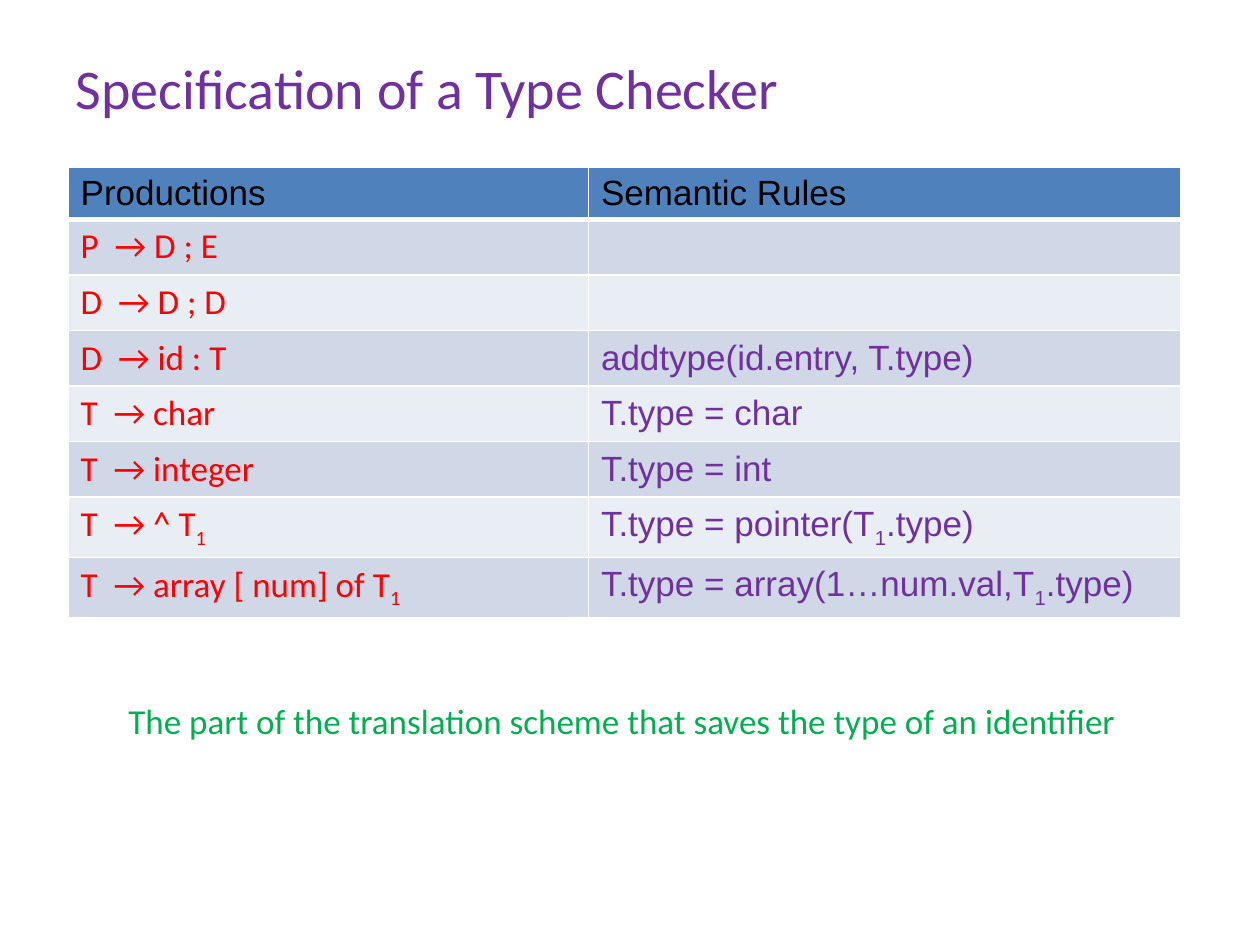
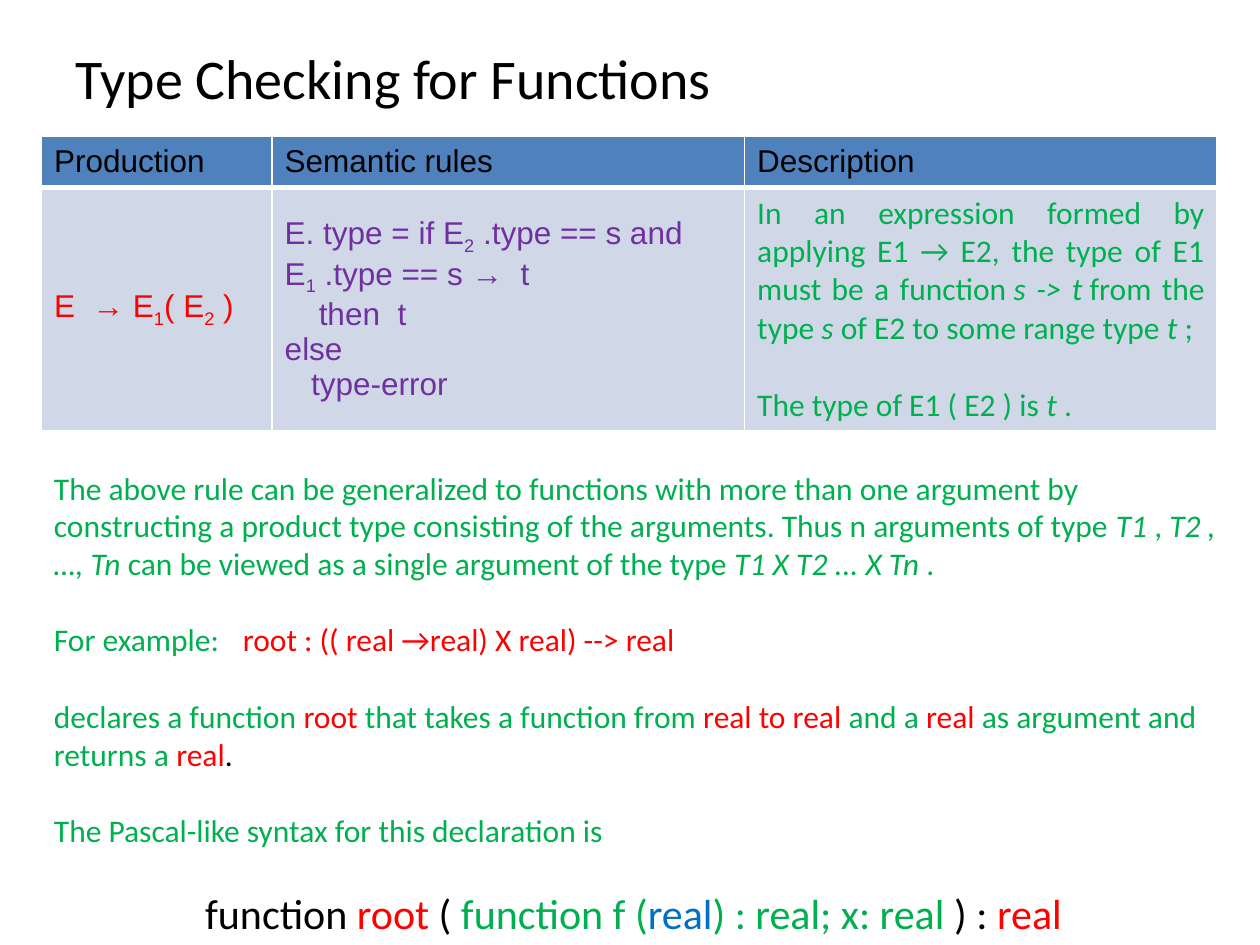
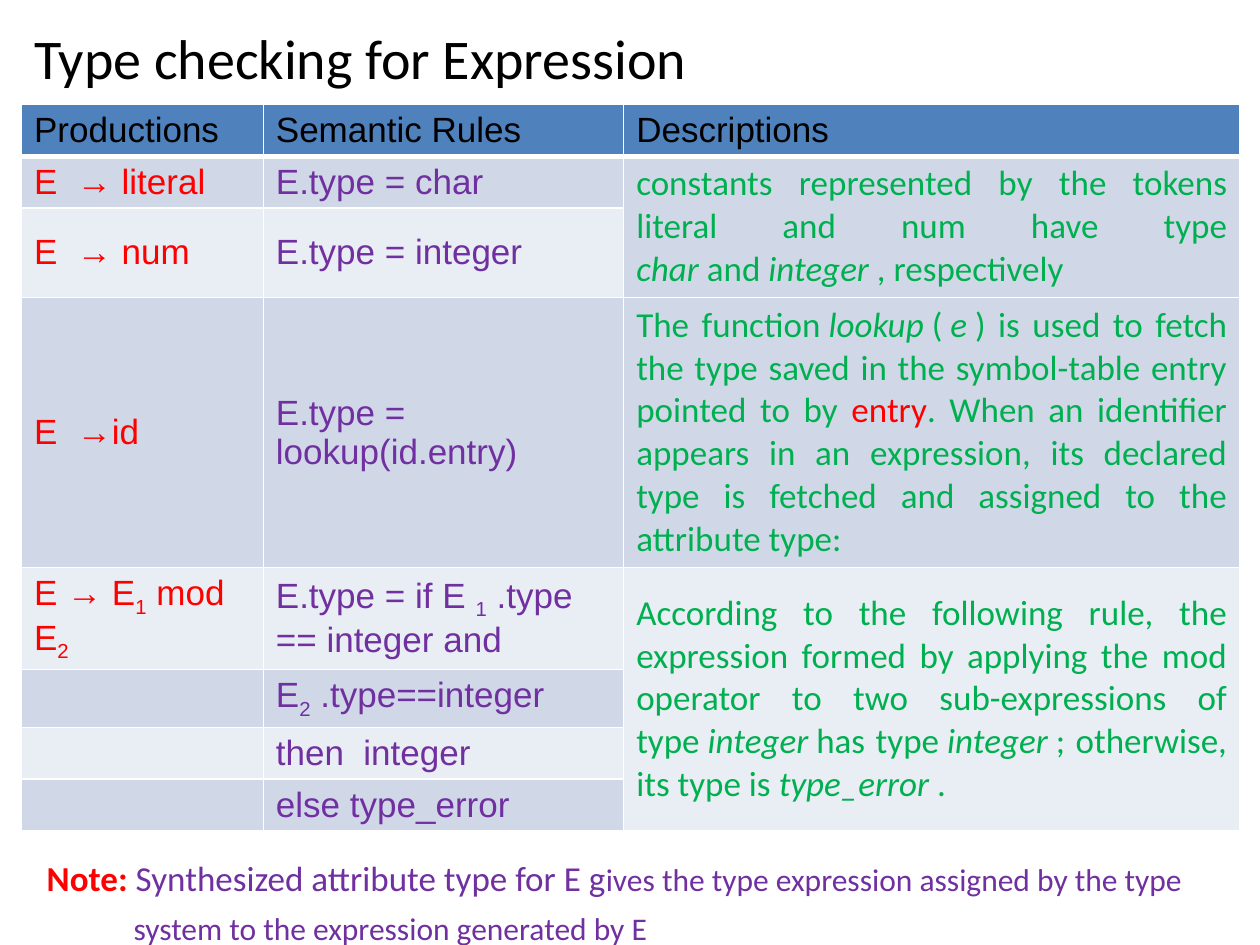
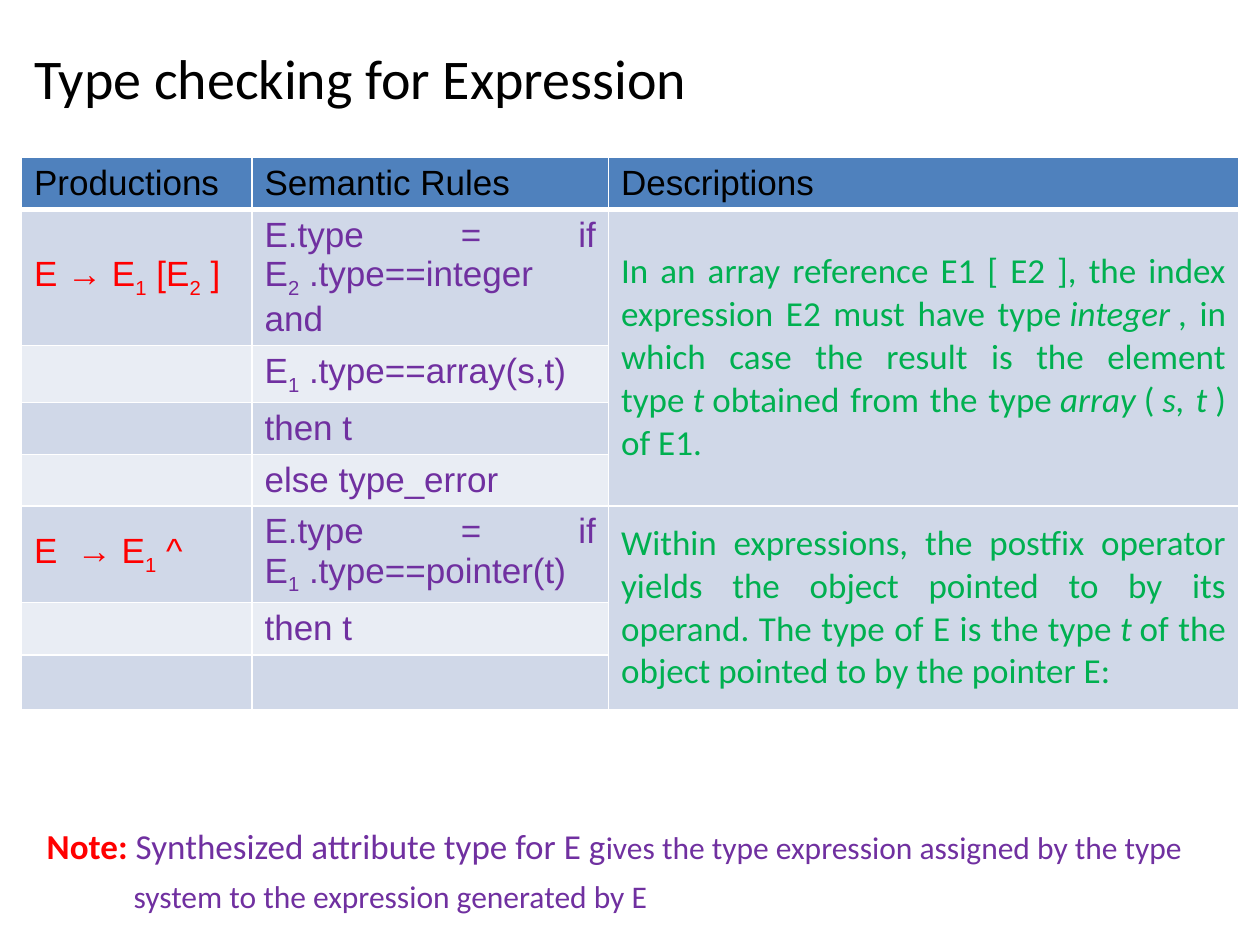
from lxml import etree
from pptx import Presentation
from pptx.dml import color
from pptx.enum import text
from pptx.oxml import ns
from pptx.util import Inches, Pt

# Shared palette, fonts and span styles
BLACK, RED, GREEN, PURPLE, BLUE = "000000", "FF0000", "00B050", "7030A0", "0070C0"
HEADER, BANDS, WHITE = "4F81BD", ("E9EDF4", "D0D8E8"), "FFFFFF"
LEFT, JUSTIFY = text.PP_ALIGN.LEFT, text.PP_ALIGN.JUSTIFY
ITALIC, SUB = {"italic": True}, {"sub": True}
IN_RED, IN_GREEN, IN_BLACK = {"color": RED}, {"color": GREEN}, {"color": BLACK}
SUB1, SUB2 = ("1", SUB), ("2", SUB)
GAP = 22  # one 18 pt line, in points


def paint(target, code):
    """Give a font colour or a solid fill the colour of a hex string."""
    target.rgb = color.RGBColor.from_string(code)


def write(frame, paras, align=LEFT, indents=(), gaps=(), tab=None, **base):
    """Fill a frame; a paragraph is a list of strings and (string, style) pairs."""
    frame.word_wrap = True
    for n, spans in enumerate(paras):
        para = frame.paragraphs[0] if n == 0 else frame.add_paragraph()
        para.alignment = align
        if n < len(gaps) and gaps[n] is not None:
            para.space_before = Pt(gaps[n])
        props = para._p.get_or_add_pPr()
        props.set("marL", str(Inches(indents[n] if n < len(indents) else 0)))
        props.set("indent", "0")
        etree.SubElement(props, ns.qn("a:buNone"))
        if tab:
            stops = etree.SubElement(props, ns.qn("a:tabLst"))
            etree.SubElement(stops, ns.qn("a:tab"), pos=str(Inches(tab)), algn="l")
        for span in [spans] if isinstance(spans, str) else spans:
            words, extra = (span, {}) if isinstance(span, str) else span
            look = {"size": 20, "font": "Calibri", "color": BLACK, **base, **extra}
            run = para.add_run()
            run.text = words
            run.font.name, run.font.size = look["font"], Pt(look["size"])
            run.font.bold = look.get("bold", False)
            run.font.italic = look.get("italic", False)
            paint(run.font.color, look["color"])
            if look.get("sub"):
                run.font._element.set("baseline", "-25000")


# Table contents: "" is an empty cell, None continues the cell above
declarations = [
    ["Productions", "Semantic Rules"],
    ["P\u00a0\u00a0→ D ; E ", ""],
    ["D\u00a0\u00a0→ D ; D ", ""],
    ["D\u00a0\u00a0→ id : T ", "addtype(id.entry, T.type) "],
    ["T\u00a0\u00a0→ char ", "T.type = char "],
    ["T\u00a0\u00a0→ integer ", "T.type = int "],
    [["T\u00a0\u00a0→ ^ T", SUB1], ["T.type = pointer(T", SUB1, ".type)"]],
    [["T\u00a0\u00a0→ array [ num] of T", SUB1],
     ["T.type = array(1…num.val,T", SUB1, ".type) "]],
]
functions = [
    ["Production", "Semantic rules", "Description"],
    [["E\u00a0\u00a0→ E", SUB1, "( E", SUB2, "\u00a0)"],
     "",  # several paragraphs, written with the slide
     ""],
]
expressions = [
    ["Productions", "Semantic Rules", "Descriptions"],
    ["E\u00a0\u00a0→ literal", "E.type = char ",
     ["constants represented by the tokens literal and num have type ",
      ("char\u00a0", ITALIC), "and\u00a0", ("integer\u00a0", ITALIC), ", respectively"]],
    ["E\u00a0\u00a0→ num", "E.type = integer ", None],
    ["E\u00a0\u00a0→id", "E.type = lookup(id.entry) ",
     ["The function\u00a0", ("lookup\u00a0", ITALIC), "(\u00a0", ("e\u00a0", ITALIC),
      ") is used to fetch the type saved in the symbol-table entry pointed to by ",
      ("entry", IN_RED),
      ". When an identifier appears in an expression, its declared type is fetched "
      "and assigned to the attribute type: "]],
    [["E\u00a0→\u00a0E", SUB1, "\u00a0mod E", SUB2],
     ["E.type = if E\u00a0", SUB1, "\u00a0.type == integer and"],
     ["According to the following rule, the expression formed by applying the mod "
      "operator to two sub-expressions of type\u00a0", ("integer\u00a0", ITALIC),
      "has type\u00a0", ("integer\u00a0", ITALIC), "; otherwise, its type is\u00a0",
      ("type_error\u00a0", ITALIC), ". "]],
    ["", ["E", SUB2, "\u00a0.type==integer"], None],
    ["", "then\u00a0 integer", None],
    ["", "else type_error ", None],
]
references = [
    ["Productions", "Semantic Rules", "Descriptions"],
    [["E\u00a0→\u00a0E", SUB1, "\u00a0[E", SUB2, "\u00a0]"],
     ["E.type = if E", SUB2, "\u00a0.type==integer and"],
     ["In an array reference E1 [ E2 ], the index expression E2 must have type\u00a0",
      ("integer\u00a0", ITALIC), ", in which case the result is the element type\u00a0",
      ("t\u00a0", ITALIC), "obtained from the type\u00a0", ("array\u00a0", ITALIC),
      "(\u00a0", ("s, t\u00a0", ITALIC), ") of E1."]],
    ["", ["E", SUB1, "\u00a0.type==array(s,t)"], None],
    ["", "then t", None],
    ["", "else type_error ", None],
    [["E\u00a0\u00a0→ E", SUB1, "\u00a0^"],
     ["E.type = if E", SUB1, "\u00a0.type==pointer(t)"],
     ["Within expressions, the postfix operator yields the object pointed to by its "
      "operand. The type of E is the type\u00a0", ("t\u00a0", ITALIC),
      "of the object pointed to by the pointer E: "]],
    ["", "then t", None],
    ["", "", None],
]

# Slides: title, its place and colour, then the table and the top of the note
slides = [
    dict(title="Specification of a Type Checker", at=(0.5, 0.3, 9, 0.78), color=PURPLE,
         rows=declarations, corner=(0.54, 1.33), widths=(4.13, 4.7),
         heights=(0.41, 0.44, 0.44, 0.44, 0.44, 0.44, 0.48, 0.48),
         looks=(("Calibri", RED, LEFT), ("Arial", PURPLE, LEFT))),
    dict(title="Type Checking for Functions", at=(0.5, 0.3, 9, 0.62), size=18,
         rows=functions, corner=(0.33, 1.08), widths=(1.83, 3.75, 3.75),
         heights=(0.41, 1.93), align=JUSTIFY),
    dict(title="Type checking for Expression", at=(0.17, 0.17, 9, 0.56), note=6.58,
         rows=expressions, corner=(0.17, 0.83), widths=(1.92, 2.86, 4.89),
         heights=(0.41, 0.41, 0.71, 2.14, 0.81, 0.46, 0.41, 0.41)),
    dict(title="Type checking for Expression", at=(0.17, 0.33, 9, 0.56), note=6.33,
         rows=references, corner=(0.17, 1.25), widths=(1.83, 2.83, 5),
         heights=(0.41, 1.08, 0.45, 0.41, 0.41, 0.76, 0.42, 0.43), align=JUSTIFY),
]

deck = Presentation()
deck.slide_width, deck.slide_height = Inches(10), Inches(7.5)
pages, grids = [], []

for slide in slides:
    # Title
    page = deck.slides.add_slide(deck.slide_layouts[1 if "note" in slide else 5])
    title = page.shapes.title
    title.left, title.top, title.width, title.height = map(Inches, slide["at"])
    title.text_frame.auto_size = text.MSO_AUTO_SIZE.NONE
    title.text_frame.vertical_anchor = text.MSO_ANCHOR.MIDDLE
    write(title.text_frame, [slide["title"]], size=32, color=slide.get("color", BLACK))

    # Table
    rows, widths, heights = slide["rows"], slide["widths"], slide["heights"]
    align = slide.get("align", LEFT)
    looks = slide.get("looks", (("Arial", RED, align), ("Arial", PURPLE, align),
                                ("Calibri", GREEN, JUSTIFY)))
    grid = page.shapes.add_table(
        len(rows), len(widths), *map(Inches, slide["corner"]),
        Inches(sum(widths)), Inches(sum(heights))).table
    grid.first_row = grid.horz_banding = False
    for column, width in zip(grid.columns, widths):
        column.width = Inches(width)
    for line, height in zip(grid.rows, heights):
        line.height = Inches(height)
    for r, row in enumerate(rows):
        for c, content in enumerate(row):
            cell = grid.cell(r, c)
            cell.vertical_anchor = text.MSO_ANCHOR.MIDDLE
            cell.fill.solid()
            paint(cell.fill.fore_color, BANDS[r % 2] if r else HEADER)
            thick = {"lnB": r == 0, "lnT": r == 1}
            for n, side in enumerate(("lnL", "lnR", "lnT", "lnB")):
                edge = etree.Element(ns.qn("a:" + side),
                                     w=str(Pt(3 if thick.get(side) else 1)))
                fill = etree.SubElement(edge, ns.qn("a:solidFill"))
                etree.SubElement(fill, ns.qn("a:srgbClr"), val=WHITE)
                cell._tc.get_or_add_tcPr().insert(n, edge)
            if content:
                font, ink, side = looks[c] if r else ("Arial", BLACK, LEFT)
                write(cell.text_frame, [content], side, font=font, color=ink,
                      size=slide.get("size", 20))
        # Join continued cells with the one above
    for c in range(len(widths)):
        for r in range(1, len(rows)):
            end = r
            while end + 1 < len(rows) and rows[end + 1][c] is None:
                end += 1
            if rows[r][c] is not None and end > r:
                grid.cell(r, c).merge(grid.cell(end, c))

    # Note below the table
    if "note" in slide:
        note = page.placeholders[1]
        note.left, note.top = Inches(0.17), Inches(slide["note"])
        note.width, note.height = Inches(9.67), Inches(0.92)
        note.text_frame.auto_size = text.MSO_AUTO_SIZE.NONE
        write(note.text_frame, [
            [("\u00a0", {"size": 32, "bold": True, "color": BLACK}),
             ("Note: ", {"size": 20, "bold": True, "color": RED}),
             ("Synthesized attribute type for E g", {"size": 20}),
             "ives the type expression assigned by the type "],
            "system to the expression generated by E",
        ], indents=(0, 0.79), size=18, color=PURPLE)
    pages.append(page)
    grids.append(grid)

# Slide 1: caption
box = pages[0].shapes.add_textbox(Inches(0.92), Inches(5.5), Inches(8.08), Inches(0.44))
write(box.text_frame,
      ["The part of the translation scheme that saves the type of an identifier"],
      color=GREEN)

# Slide 2: rule and description cells
write(grids[1].cell(1, 1).text_frame, [
    ["E. type = if E", SUB2, "\u00a0.type == s and"],
    ["E", SUB1, "\u00a0.type == s →\u00a0\u00a0t"],
    "then\u00a0 t",
    "else ",
    "type-error\u00a0",
], JUSTIFY, indents=(0, 0, 0.27, 0, 0.21), font="Arial", size=18, color=PURPLE)
write(grids[1].cell(1, 2).text_frame, [
    ["In an expression formed by applying E1 → E2, the type of E1 must be a function\u00a0",
     ("s -> t\u00a0", ITALIC), "from the type\u00a0", ("s\u00a0", ITALIC),
     "of E2 to some range type\u00a0", ("t\u00a0", ITALIC), ";"],
    ["The type of E1 ( E2 ) is\u00a0", ("t\u00a0", ITALIC), ". "],
], JUSTIFY, gaps=(0, GAP), size=18, color=GREEN)

# Slide 2: generalisation and example
box = pages[1].shapes.add_textbox(Inches(0.33), Inches(3.67), Inches(9.5), Inches(4.14))
write(box.text_frame, [
    ["The above rule can be generalized to functions with more than one argument by "
     "constructing a product type consisting of the arguments. Thus n arguments of "
     "type\u00a0", ("T1\u00a0", ITALIC), ",\u00a0", ("T2 , …, Tn ", ITALIC),
     "can be viewed as a single argument of the type\u00a0",
     ("T1 X T2 ... X Tn\u00a0", ITALIC), ".\u00a0"],
    ["For example:\t", ("root : (( real →real) X real) --> real ", IN_RED)],
    ["declares a function ", ("root ", IN_RED), "that takes a function from ",
     ("real to real ", IN_RED), "and a ", ("real ", IN_RED),
     "as argument and returns a ", ("real", IN_RED), (". ", IN_BLACK)],
    "The Pascal-like syntax for this declaration is ",
    [(words, {"size": 24, "color": ink}) for words, ink in (
        ("function ", BLACK), ("root", RED), (" ( ", BLACK), ("function f (", GREEN),
        ("real", BLUE), (") : real; x: real ", GREEN), (") : ", BLACK), ("real ", RED))],
], indents=(0, 0, 0, 0, 1.2), gaps=(0, GAP, GAP, GAP, GAP), tab=1.54,
    size=18, color=GREEN)

deck.save("out.pptx")
